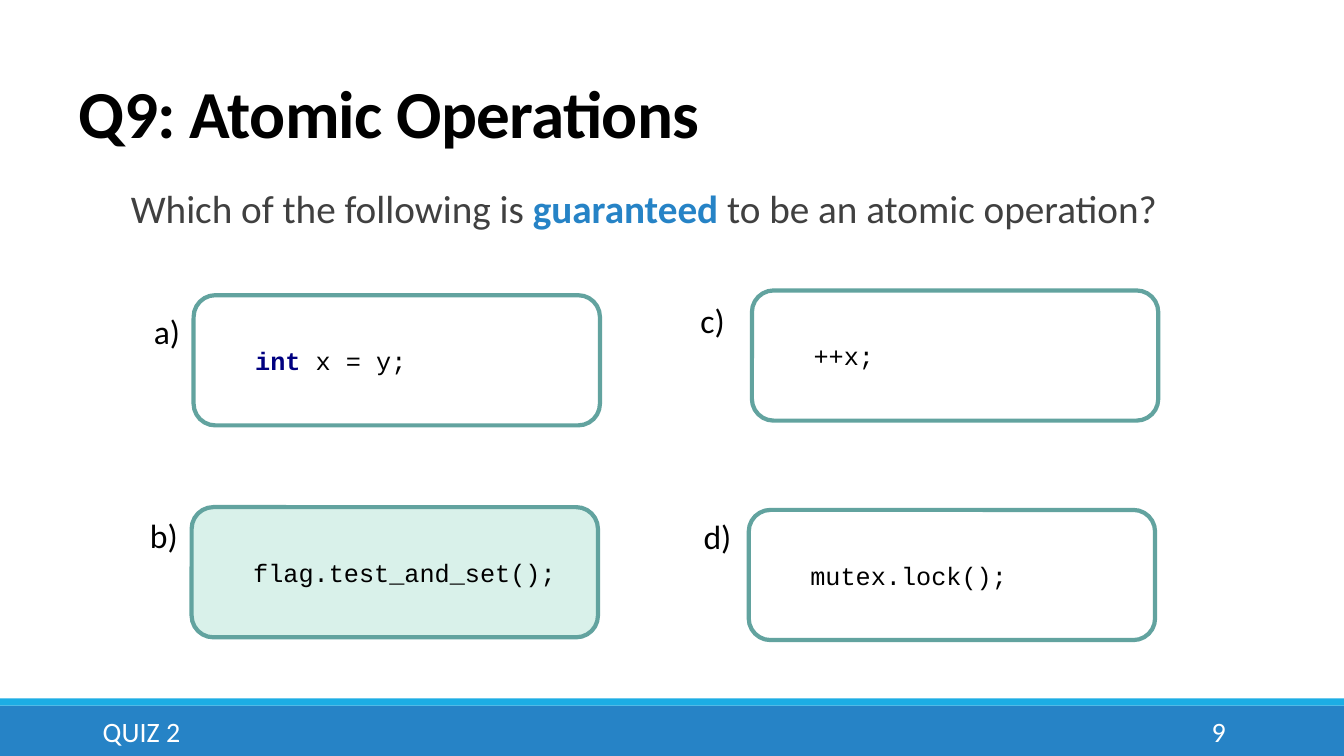
from dataclasses import dataclass

from pptx import Presentation
from pptx.dml.color import RGBColor as Rgb
from pptx.enum.shapes import MSO_SHAPE as Kind
from pptx.enum.text import MSO_ANCHOR as Anchor, MSO_AUTO_SIZE as Fit, PP_ALIGN as Align
from pptx.util import Cm, Pt


@dataclass(frozen=True)
class Theme:
    sans: str = "Calibri"
    mono: str = "Courier New"
    black: str = "000000"
    white: str = "FFFFFF"
    grey: str = "404040"
    blue: str = "2683C6"
    sky: str = "1CADE4"
    navy: str = "000080"
    teal: str = "62A39F"
    mint: str = "D9F1EA"
    title: int = 48
    body: int = 28
    label: int = 24
    foot: int = 20
    code: int = 18


theme = Theme()


def write(shape, *parts, size, font=theme.sans, color=theme.black, bold=False,
          align=Align.LEFT, anchor=Anchor.TOP, wrap=True, lead=None, track=None):
    frame = shape.text_frame
    frame.auto_size = Fit.NONE
    frame.word_wrap = wrap
    frame.vertical_anchor = anchor
    para = frame.paragraphs[0]
    para.alignment = align
    if lead:
        para.line_spacing = lead
    for part in parts:
        text, tint, heavy = (part, color, bold) if isinstance(part, str) else part
        run = para.add_run()
        run.text = text
        run.font.name = font
        run.font.size = Pt(size)
        run.font.bold = heavy
        run.font.color.rgb = Rgb.from_string(tint)
        if track:
            run._r.get_or_add_rPr().set("spc", str(track))


def place(shape, left, top, width, height):
    shape.left, shape.top = Cm(left), Cm(top)
    shape.width, shape.height = Cm(width), Cm(height)


def label(slide, box, *parts, **style):
    shape = slide.shapes.add_textbox(*map(Cm, box))
    write(shape, *parts, **style)
    return shape


def block(slide, kind, box, fill, line=None):
    shape = slide.shapes.add_shape(kind, *map(Cm, box))
    shape.shadow.inherit = False
    shape.fill.solid()
    shape.fill.fore_color.rgb = Rgb.from_string(fill)
    if line:
        shape.line.color.rgb = Rgb.from_string(line)
        shape.line.width = Pt(3)
    else:
        shape.line.fill.background()
    return shape


def choice(slide, mark, spot, left, top, *code, fill=theme.white):
    label(slide, (*spot, 1.18, 1.27), mark, size=theme.label, wrap=False)
    card = block(slide, Kind.ROUNDED_RECTANGLE, (left, top, 10.24, 3.28), fill, theme.teal)
    write(card, *code, size=theme.code, font=theme.mono, anchor=Anchor.MIDDLE)


def footer(slide):
    block(slide, Kind.RECTANGLE, (0, 17.78, 33.87, 1.27), theme.blue)
    block(slide, Kind.RECTANGLE, (0, 17.6, 33.87, 0.18), theme.sky)
    style = dict(size=theme.foot, color=theme.white, anchor=Anchor.MIDDLE)
    label(slide, (2.34, 17.93, 21.31, 1.02), "QUIZ 2", **style)
    label(slide, (27.51, 17.93, 3.63, 1.02), "9", align=Align.RIGHT, **style)


def main():
    deck = Presentation()
    deck.slide_width, deck.slide_height = Cm(33.87), Cm(19.05)
    slide = deck.slides.add_slide(deck.slide_layouts[5])

    head = slide.shapes.title
    place(head, 1.73, 1.8, 27.94, 2.16)
    write(head, "Q9: Atomic Operations", size=theme.title, bold=True,
          anchor=Anchor.BOTTOM, lead=0.85, track=-50)

    label(slide, (3.05, 4.65, 27.94, 1.96),
          "Which of the following is ",
          ("guaranteed ", theme.blue, True),
          "to be an atomic operation?",
          size=theme.body, color=theme.grey, lead=0.9)

    choice(slide, "a)", (3.63, 7.7), 4.88, 7.44,
           ("   int ", theme.navy, True), "x = y;")
    choice(slide, "b)", (3.53, 12.85), 4.83, 12.78,
           "   flag.test_and_set();", fill=theme.mint)
    choice(slide, "c)", (17.4, 7.44), 18.95, 7.32, "   ++x;")
    choice(slide, "d)", (17.48, 12.88), 18.87, 12.85, "   mutex.lock();")

    footer(slide)
    deck.save("out.pptx")


if __name__ == "__main__":
    main()
